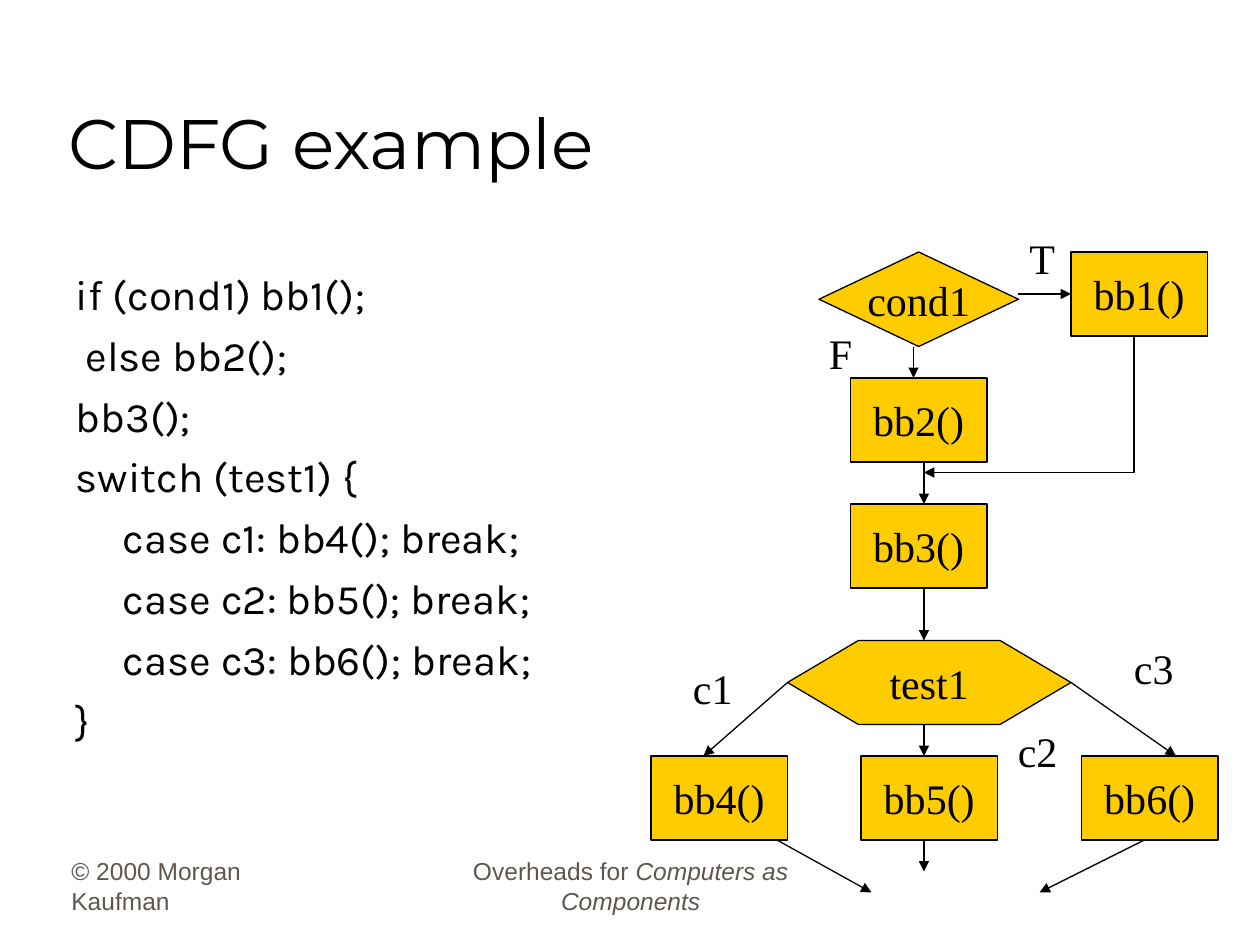
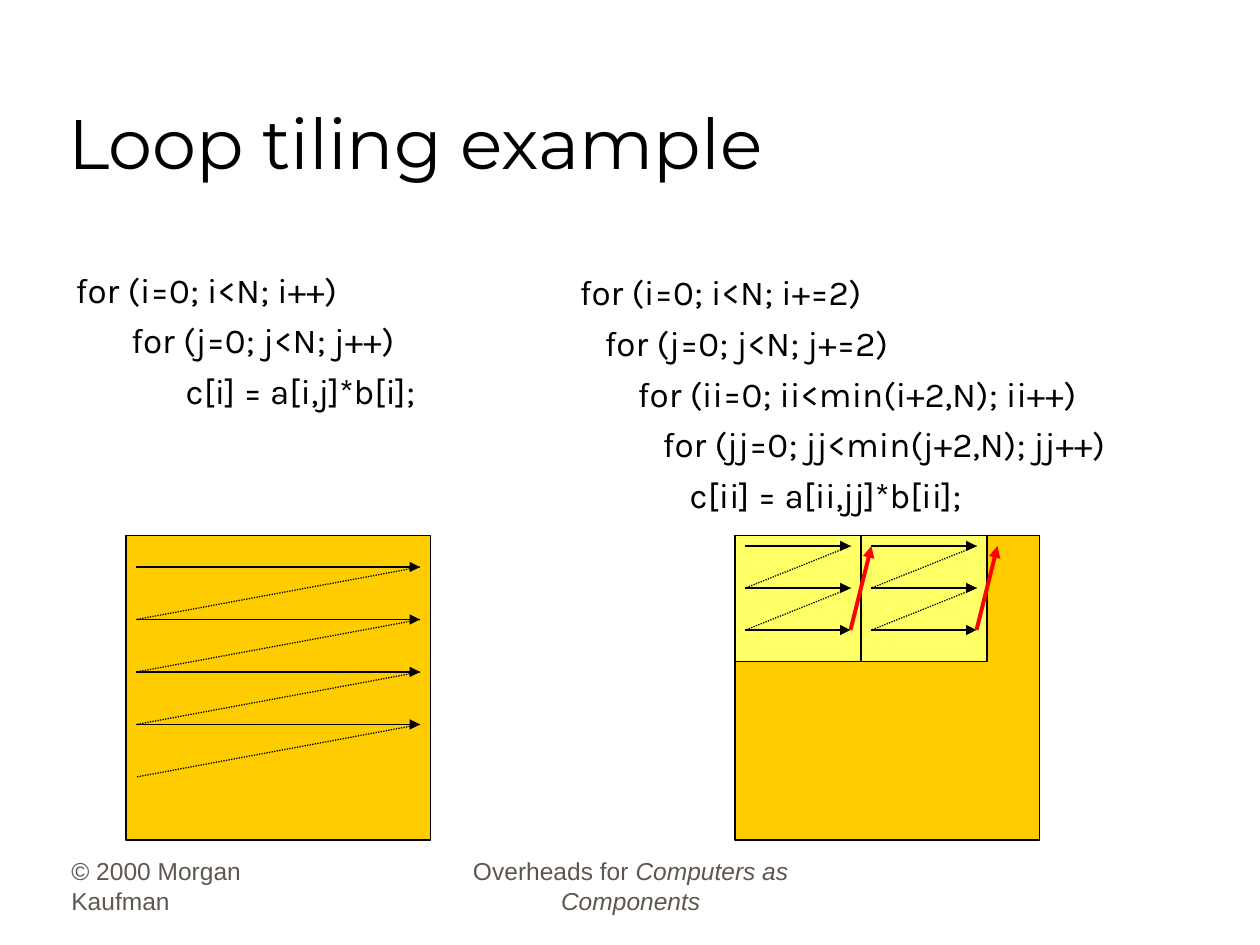
from pptx import Presentation
from pptx.dml.color import RGBColor
from pptx.enum.dml import MSO_LINE
from pptx.enum.shapes import MSO_CONNECTOR, MSO_SHAPE
from pptx.enum.text import MSO_ANCHOR, MSO_AUTO_SIZE, PP_ALIGN
from pptx.oxml.ns import qn
from pptx.util import Cm, Pt
from lxml.etree import SubElement

BLACK, GREY, RED = "000000", "5E574E", "FF0000"
GOLD, YELLOW = "FFCC00", "FFFF66"
TITLE_FONT, CODE_FONT = "Montserrat", "Karla"
DIAGRAM_FONT, FOOTER_FONT = "Times New Roman", "Arial"
CODE_INDENT = Cm(0.95)
BLOCK_SIZE = (13, 8)


def color(hex_value):
    return RGBColor.from_string(hex_value)


def grid(steps):
    """Length of a number of diagram grid steps, twelve to the inch."""
    return Cm(2.54 * steps / 12)


def write(frame, lines, font, size, text_color=BLACK, align=PP_ALIGN.LEFT,
          anchor=MSO_ANCHOR.TOP, wrap=True, gap=0, code=False):
    """Fill a frame; each line is a string or a list of (text, italic) runs."""
    frame.auto_size = MSO_AUTO_SIZE.NONE
    frame.word_wrap = wrap
    frame.vertical_anchor = anchor
    for number, line in enumerate(lines):
        paragraph = frame.add_paragraph() if number else frame.paragraphs[0]
        if code:
            format_code(paragraph)
        paragraph.alignment = align
        paragraph.space_before = Pt(gap if number else 0)
        runs = [(line, False)] if isinstance(line, str) else line
        for text, italic in runs:
            run = paragraph.add_run()
            run.text = text
            run.font.name = font
            run.font.size = Pt(size)
            run.font.italic = italic
            run.font.color.rgb = color(text_color)


def format_code(paragraph):
    """Hanging indent without bullet, with a tab stop every inch."""
    properties = paragraph._p.get_or_add_pPr()
    properties.set("marL", str(CODE_INDENT))
    properties.set("indent", str(-CODE_INDENT))
    SubElement(properties, qn("a:buNone"))
    stops = SubElement(properties, qn("a:tabLst"))
    for inch in range(8):
        SubElement(stops, qn("a:tab"), pos=str(Cm(2.54 * inch)), algn="l")


def place(holder, left, top, width, height):
    holder.left, holder.top = Cm(left), Cm(top)
    holder.width, holder.height = Cm(width), Cm(height)


def add_text(slide, box, lines, font, size, **style):
    holder = slide.shapes.add_textbox(*(Cm(length) for length in box))
    write(holder.text_frame, lines, font, size, **style)


def add_code(holder, box, lines, size):
    place(holder, *box)
    write(holder.text_frame, lines, CODE_FONT, size, gap=size / 4, code=True)


def add_slide(prs, layout, title):
    """Slide with the shared title style and footers."""
    slide = prs.slides.add_slide(prs.slide_layouts.get_by_name(layout))
    place(slide.shapes.title, 1.12, 0.64, 21.59, 3.18)
    write(slide.shapes.title.text_frame, [title], TITLE_FONT, 40,
          anchor=MSO_ANCHOR.BOTTOM)
    footer = dict(text_color=GREY, anchor=MSO_ANCHOR.BOTTOM)
    add_text(slide, (1.19, 17.3, 5.28, 1.27), ["© 2000 Morgan Kaufman"],
             FOOTER_FONT, 14, **footer)
    book = [("Overheads for ", False), ("Computers as Components", True)]
    add_text(slide, (8.69, 17.3, 8.05, 1.27), [book],
             FOOTER_FONT, 14, align=PP_ALIGN.CENTER, **footer)
    return slide


def add_block(slide, left, top, width, height, label="", fill=GOLD,
              kind=MSO_SHAPE.RECTANGLE):
    block = slide.shapes.add_shape(
        kind, grid(left), grid(top), grid(width), grid(height))
    block.shadow.inherit = False
    block.fill.solid()
    block.fill.fore_color.rgb = color(fill)
    block.line.color.rgb = color(BLACK)
    block.line.width = Pt(0.75)
    if label:
        write(block.text_frame, [label], DIAGRAM_FONT, 24, wrap=False,
              align=PP_ALIGN.CENTER, anchor=MSO_ANCHOR.MIDDLE)
    return block


def add_line(slide, start, end, arrow=True, dotted=False,
             line_color=BLACK, width=0.75):
    ends = (grid(step) for step in (*start, *end))
    connector = slide.shapes.add_connector(MSO_CONNECTOR.STRAIGHT, *ends)
    connector.line.color.rgb = color(line_color)
    connector.line.width = Pt(width)
    if dotted:
        connector.line.dash_style = MSO_LINE.ROUND_DOT
    if arrow:
        SubElement(connector.line._get_or_add_ln(), qn("a:tailEnd"),
                   type="triangle")
    SubElement(connector._element.spPr, qn("a:effectLst"))


def add_scan(slide, left, right, top, pitch, rows, returns):
    """Row arrows, each followed by a dotted return to the next row."""
    for row in range(rows):
        y = top + row * pitch
        add_line(slide, (left, y), (right, y))
        if row < returns:
            add_line(slide, (right, y), (left, y + pitch),
                     arrow=False, dotted=True)


def build_cdfg(prs):
    slide = add_slide(prs, "Title and Content", "CDFG example")
    add_code(slide.placeholders[1], (1.27, 5.28, 11.15, 11.58), [
        "if (cond1) bb1();",
        " else bb2();",
        "bb3();",
        "switch (test1) {",
        "\tcase c1: bb4(); break;",
        "\tcase c2: bb5(); break;",
        "\tcase c3: bb6(); break;",
        "}",
    ], 24)

    add_block(slide, 78, 24, 19, 9, "cond1", kind=MSO_SHAPE.DIAMOND)
    switch = add_block(slide, 75, 61, 27, 8, "test1", kind=MSO_SHAPE.HEXAGON)
    switch.adjustments[0] = 0.844
    corners = [(102, 24), (81, 36), (81, 48), (62, 72), (82, 72), (103, 72)]
    for number, corner in enumerate(corners, 1):
        add_block(slide, *corner, *BLOCK_SIZE, f"bb{number}()")

    branches = [("T", 20.5, 4.57, 1.02), ("F", 16.46, 6.48, 0.97),
                ("c1", 13.72, 13.23, 1.3), ("c2", 20.27, 14.5, 1.3),
                ("c3", 22.61, 12.83, 1.3)]
    for label, left, top, width in branches:
        add_text(slide, (left, top, width, 1.27), [label],
                 DIAGRAM_FONT, 24, wrap=False)

    flows = [
        ((97, 28), (102, 28)), ((87, 33), (87, 36)),
        ((88, 44), (88, 48)), ((88, 56), (88, 61)),
        ((75, 65), (67, 72)), ((88, 69), (88, 72)), ((102, 65), (112, 72)),
        ((74, 80), (83, 85)), ((88, 80), (88, 83)), ((109, 80), (99, 85)),
        ((108, 45), (88, 45)),
    ]
    for start, end in flows:
        add_line(slide, start, end)
    add_line(slide, (108, 32), (108, 45), arrow=False)


def build_loop_tiling(prs):
    slide = add_slide(prs, "Two Content", "Loop tiling example")
    add_code(slide.placeholders[1], (1.27, 5.28, 11.15, 3.43), [
        "for (i=0; i<N; i++)",
        "\t for (j=0; j<N; j++)",
        "\t\tc[i] = a[i,j]*b[i];",
    ], 20)
    add_code(slide.placeholders[2], (11.43, 5.33, 13.18, 5.33), [
        "for (i=0; i<N; i+=2)",
        "   for (j=0; j<N; j+=2)",
        "       for (ii=0; ii<min(i+2,N); ii++)",
        "          for (jj=0; jj<min(j+2,N); jj++)",
        "\t\tc[ii] = a[ii,jj]*b[ii];",
    ], 20)

    for array_left in (12, 70):
        add_block(slide, array_left, 51, 29, 29)
    add_scan(slide, 13, 40, top=54, pitch=5, rows=4, returns=4)

    tile_lefts = (70, 82)
    for left in tile_lefts:
        add_block(slide, left, 51, 12, 12, fill=YELLOW)
        add_scan(slide, left + 1, left + 11, top=52, pitch=4, rows=3, returns=2)
    for left in tile_lefts:
        add_line(slide, (left + 11, 60), (left + 13, 52),
                 line_color=RED, width=2.25)


def main():
    prs = Presentation()
    prs.slide_width, prs.slide_height = Cm(25.4), Cm(19.05)
    build_cdfg(prs)
    build_loop_tiling(prs)
    prs.save("out.pptx")


if __name__ == "__main__":
    main()
